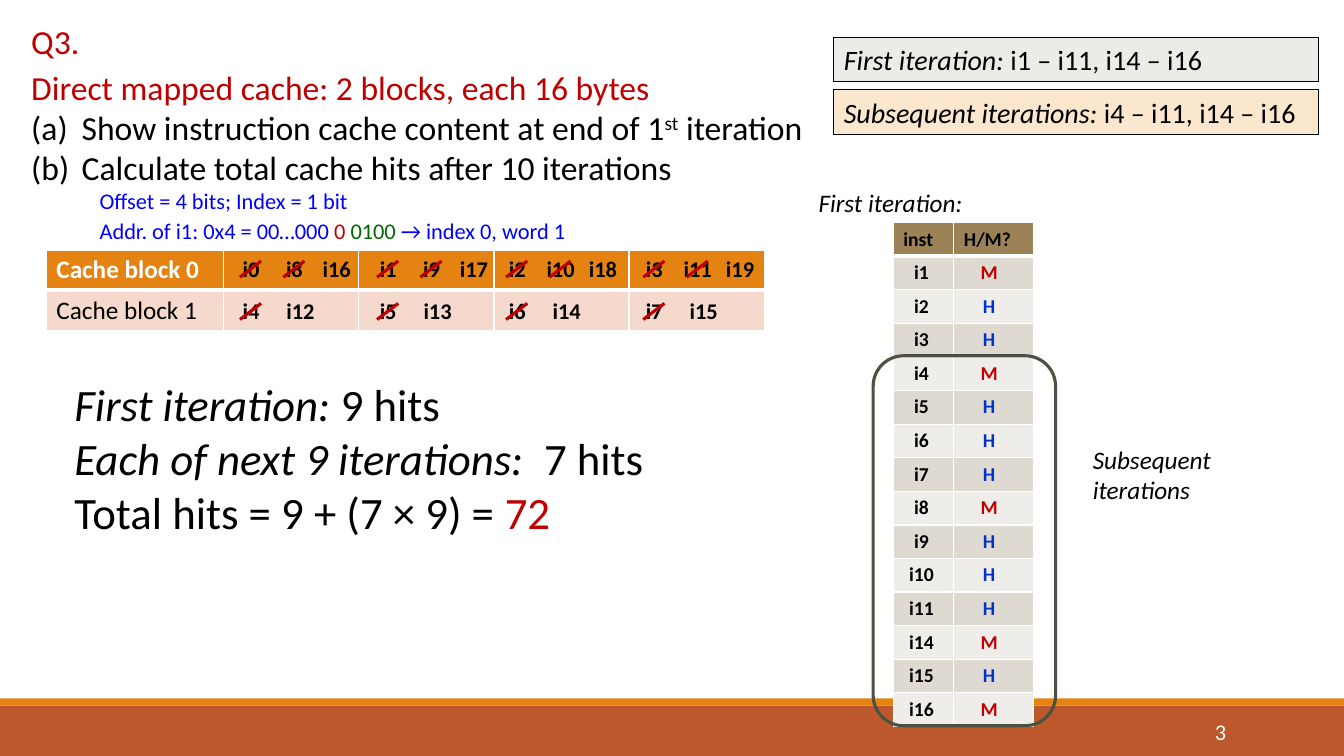
from pptx import Presentation
from pptx.util import Inches, Pt
from pptx.dml.color import RGBColor
from pptx.enum.shapes import MSO_SHAPE, MSO_CONNECTOR
from pptx.enum.text import PP_ALIGN, MSO_ANCHOR, MSO_AUTO_SIZE
from pptx.oxml.ns import qn
from lxml.etree import SubElement

INK = RGBColor(0x00, 0x00, 0x00)
WHITE = RGBColor(0xFF, 0xFF, 0xFF)
RED = RGBColor(0xC0, 0x00, 0x00)
BLUE = RGBColor(0x00, 0x00, 0xFF)
HIT = RGBColor(0x00, 0x33, 0xCC)
GREEN = RGBColor(0x00, 0x66, 0x00)
ORANGE = RGBColor(0xE4, 0x83, 0x12)
RUST = RGBColor(0xBD, 0x58, 0x2C)
PINK = RGBColor(0xF5, 0xD9, 0xCC)
SAGE = RGBColor(0xEA, 0xEC, 0xE7)
CREAM = RGBColor(0xFB, 0xE6, 0xCE)
BROWN = RGBColor(0x9B, 0x83, 0x57)
DARK = RGBColor(0xDE, 0xD9, 0xD1)
LIGHT = RGBColor(0xEF, 0xED, 0xEA)
OLIVE = RGBColor(0x4A, 0x52, 0x42)


def place(item, left, top, width, height):
    item.left, item.top = Inches(left), Inches(top)
    item.width, item.height = Inches(width), Inches(height)


def write(frame, lines, size, bold=False, align=PP_ALIGN.LEFT):
    """Each line is a list of (text, colour, italic) pieces."""
    for i, line in enumerate(lines):
        para = frame.paragraphs[0] if i == 0 else frame.add_paragraph()
        para.alignment = align
        para.space_before = Pt(0)
        for text, color, italic in line:
            run = para.add_run()
            run.text = text
            font = run.font
            font.name, font.size = "Calibri", Pt(size)
            font.bold, font.italic = bold, italic
            font.color.rgb = color


def label(slide, at, lines, size, **look):
    box = slide.shapes.add_textbox(*map(Inches, at))
    frame = box.text_frame
    frame.word_wrap = True
    frame.auto_size = MSO_AUTO_SIZE.SHAPE_TO_FIT_TEXT
    write(frame, lines, size, **look)
    return frame


def tag(slide, left, top, text, size, color=INK):
    """Short bold centred mark laid over a table cell."""
    height = 0.37 if size == 16 else 0.34
    frame = label(slide, (left, top, 0.48, height), [[(text, color, False)]],
                  size, bold=True, align=PP_ALIGN.CENTER)
    frame.margin_left = frame.margin_right = 0


def panel(slide, kind, at, fill=None, line=None, weight=0.75):
    shape = slide.shapes.add_shape(kind, *map(Inches, at))
    shape.shadow.inherit = False
    if fill is None:
        shape.fill.background()
    else:
        shape.fill.solid()
        shape.fill.fore_color.rgb = fill
    if line is None:
        shape.line.fill.background()
    else:
        shape.line.color.rgb = line
        shape.line.width = Pt(weight)
    return shape


def note(slide, top, fill, lead, rest):
    box = panel(slide, MSO_SHAPE.RECTANGLE, (8.27, top, 4.81, 0.44), fill, INK)
    frame = box.text_frame
    frame.word_wrap = True
    write(frame, [[(lead, INK, True), (rest, INK, False)]], 20)


def strike(slide, left, top):
    line = slide.shapes.add_connector(
        MSO_CONNECTOR.STRAIGHT, Inches(left + 0.13), Inches(top + 0.27),
        Inches(left + 0.34), Inches(top + 0.11))
    line.line.color.rgb = RED
    line.line.width = Pt(2.25)
    SubElement(line._element.spPr, qn("a:effectLst"))


def grid(slide, left, top, widths, height, fills):
    """Table with one fill per row and white cell borders."""
    table = slide.shapes.add_table(
        len(fills), len(widths), Inches(left), Inches(top),
        Inches(sum(widths)), Inches(height * len(fills))).table
    for col, width in zip(table.columns, widths):
        col.width = Inches(width)
    for r, fill in enumerate(fills):
        table.rows[r].height = Inches(height)
        for c in range(len(widths)):
            cell = table.cell(r, c)
            cell.margin_top = cell.margin_bottom = 0
            cell.vertical_anchor = MSO_ANCHOR.MIDDLE
            props = cell._tc.get_or_add_tcPr()
            for side in ("lnL", "lnR", "lnT", "lnB"):
                thick = (r, side) in ((0, "lnB"), (1, "lnT"))
                edge = SubElement(props, qn("a:" + side), w=str(Pt(3 if thick else 1)))
                paint = SubElement(edge, qn("a:solidFill"))
                SubElement(paint, qn("a:srgbClr"), val=str(WHITE))
            cell.fill.solid()
            cell.fill.fore_color.rgb = fill
    return table


def question(slide):
    title, body = slide.placeholders
    place(title, 0.21, 0.16, 0.86, 0.5)
    place(body, 0.21, 0.61, 8.25, 1.31)
    for item in (title, body):
        item.text_frame.auto_size = MSO_AUTO_SIZE.NONE
        item.text_frame.vertical_anchor = MSO_ANCHOR.TOP
    write(title.text_frame, [[("Q3.", RED, False)]], 24)
    write(body.text_frame, [
        [("Direct mapped cache: 2 blocks, each 16 bytes", RED, False)],
        [("Show instruction cache content at end of 1", INK, False),
         ("st", INK, False), (" iteration", INK, False)],
        [("Calculate total cache hits after 10 iterations", INK, False)],
    ], 24)
    head, *parts = body.text_frame.paragraphs
    props = head._p.get_or_add_pPr()
    props.set("marL", "0")
    props.set("indent", "0")
    SubElement(props, qn("a:buNone"))
    for part in parts:
        props = part._p.get_or_add_pPr()
        props.set("marL", str(Inches(0.5)))
        props.set("indent", str(Inches(-0.5)))
        SubElement(props, qn("a:buFont"), typeface="Calibri")
        SubElement(props, qn("a:buAutoNum"), type="alphaLcParenBoth")
    parts[0].runs[1]._r.get_or_add_rPr().set("baseline", "30000")


def cache(slide):
    table = grid(slide, 0.46, 2.48, [1.76] + [1.34] * 4, 0.4, [ORANGE, PINK])
    for r, color in enumerate((WHITE, INK)):
        write(table.cell(r, 0).text_frame,
              [[(f"Cache block {r}", color, False)]], 18, bold=r == 0)
    # First instruction number, offset in the cell, top, replaced later
    loads = [(0, 0, 2.48, True), (4, 0, 2.9, True), (8, 0.43, 2.48, True),
             (12, 0.49, 2.9, False), (16, 0.85, 2.48, False)]
    for first, shift, top, gone in loads:
        for word, left in enumerate((2.25, 3.61, 4.89, 6.25)):
            tag(slide, left + shift, top, f"i{first + word}", 16)
            if gone:
                strike(slide, left + shift, top)


def trace(slide):
    step = 1 / 3
    fills = [BROWN] + [DARK, LIGHT] * 7
    table = grid(slide, 8.86, 2.21, [0.6, 0.79], step, fills)
    for c, text in enumerate(("inst", "H/M?")):
        write(table.cell(0, c).text_frame, [[(text, INK, False)]], 14, bold=True)
    steps = [*range(1, 12), 14, 15, 16]
    for i, (number, mark) in enumerate(zip(steps, "MHHMHHHMHHHMHM")):
        top = 2.53 + i * step
        tag(slide, 8.9, top, f"i{number}", 14)
        tag(slide, 9.57, top, mark, 14, RED if mark == "M" else HIT)
    panel(slide, MSO_SHAPE.ROUNDED_RECTANGLE, (8.66, 3.53, 1.81, 3.67),
          line=OLIVE, weight=2.25)


def main():
    deck = Presentation()
    deck.slide_width, deck.slide_height = Inches(13.33), Inches(7.5)
    slide = deck.slides.add_slide(deck.slide_layouts[1])

    # Footer bands
    panel(slide, MSO_SHAPE.RECTANGLE, (0, 7, 13.33, 0.5), RUST)
    panel(slide, MSO_SHAPE.RECTANGLE, (0, 6.93, 13.33, 0.07), ORANGE)

    # Question and the instructions run
    question(slide)
    note(slide, 0.37, SAGE, "First iteration: ", "i1 – i11, i14 – i16")
    note(slide, 0.89, CREAM, "Subsequent iterations: ", "i4 – i11, i14 – i16")

    # Cache content and hit trace
    cache(slide)
    trace(slide)
    label(slide, (8.02, 1.81, 1.9, 0.4), [[("First iteration:", INK, True)]], 18)
    label(slide, (10.74, 4.36, 1.57, 0.71),
          [[("Subsequent iterations", INK, True)]], 18)

    # Address split
    label(slide, (0.89, 1.81, 3.01, 0.37),
          [[("Offset = 4 bits; Index = 1 bit", BLUE, False)]], 16)
    label(slide, (0.89, 2.11, 5.13, 0.37),
          [[("Addr. of i1: 0x4 = 00…000 ", BLUE, False), ("0 ", RED, False),
            ("0100 ", GREEN, False), ("→ index 0, word 1", BLUE, False)]], 16)

    # Answer
    label(slide, (0.64, 3.69, 6.46, 1.72), [
        [("First iteration: ", INK, True), ("9 hits", INK, False)],
        [("Each of next 9 iterations: ", INK, True), (" 7 hits", INK, False)],
        [("Total hits = 9 + (7 × 9) = ", INK, False), ("72", RED, False)],
    ], 32)

    # Slide number
    page = label(slide, (10.83, 7.06, 1.43, 0.4), [[("3", WHITE, False)]], 16,
                 align=PP_ALIGN.RIGHT)
    page.auto_size = MSO_AUTO_SIZE.NONE
    page.vertical_anchor = MSO_ANCHOR.MIDDLE

    deck.save("out.pptx")


main()
